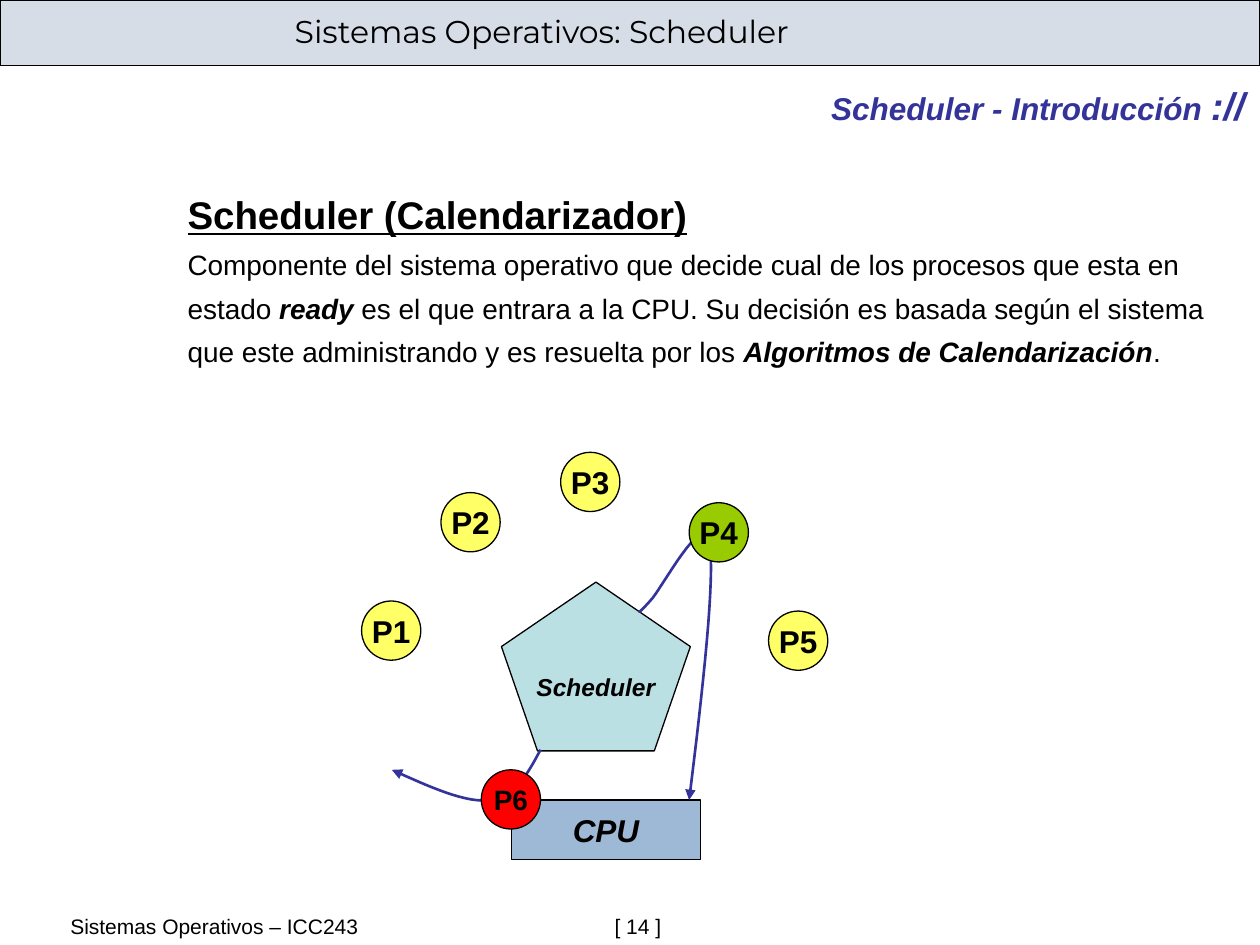
from dataclasses import dataclass

from lxml.etree import SubElement
from pptx import Presentation
from pptx.dml.color import RGBColor
from pptx.enum.shapes import MSO_SHAPE
from pptx.enum.text import MSO_ANCHOR, MSO_AUTO_SIZE, PP_ALIGN
from pptx.oxml.ns import qn
from pptx.util import Emu, Inches, Pt


@dataclass
class Theme:
    font: str = "Arial"
    title: str = "Montserrat"
    ink: str = "000000"
    accent: str = "333399"
    bar: str = "D7DDE7"
    core: str = "BBE0E3"
    cpu: str = "9EB9D6"
    wait: str = "FFFF66"
    run: str = "99CC00"
    stop: str = "FF0000"
    big: int = 22
    mid: int = 18
    body: int = 16
    label: int = 14
    small: int = 12


theme = Theme()
deck = Presentation()
deck.slide_width, deck.slide_height = Inches(10), Inches(7.5)
slide = deck.slides.add_slide(deck.slide_layouts[6])
shapes = slide.shapes

# Grid of 100 columns by 75 rows
COL, ROW = deck.slide_width / 100, deck.slide_height / 75


def write(text, box=None, shape=None, new=False, size=theme.mid, font=theme.font,
          color=theme.ink, bold=False, italic=False, line=False, align=PP_ALIGN.LEFT,
          gap=None, tab=None):
    """Write runs of (text, changes) as one paragraph in a shape or a new text box."""
    if shape is None:
        x, y, w, h = box
        shape = shapes.add_textbox(Emu(int(x * COL)), Emu(int(y * ROW)),
                                   Emu(int(w * COL)), Emu(int(h * ROW)))
        shape.text_frame.word_wrap = True
        shape.text_frame.auto_size = MSO_AUTO_SIZE.SHAPE_TO_FIT_TEXT
    frame = shape.text_frame
    para = frame.add_paragraph() if new else frame.paragraphs[0]
    para.alignment = align
    if gap:
        para.line_spacing = gap
    if tab:
        stops = SubElement(para._p.get_or_add_pPr(), qn("a:tabLst"))
        SubElement(stops, qn("a:tab"), pos=str(int(tab * COL)), algn="l")
    for words, change in [(text, {})] if isinstance(text, str) else text:
        run = para.add_run()
        run.text = words
        run.font.name = font
        run.font.size = Pt(change.get("size", size))
        run.font.bold = change.get("bold", bold)
        run.font.italic = change.get("italic", italic)
        run.font.underline = line
        run.font.color.rgb = RGBColor.from_string(color)
    return shape


def draw(kind, box, fill, text="", **style):
    """Draw an outlined preset shape with a centred label."""
    x, y, w, h = box
    shape = shapes.add_shape(kind, Emu(int(x * COL)), Emu(int(y * ROW)),
                             Emu(int(w * COL)), Emu(int(h * ROW)))
    shape.shadow.inherit = False
    shape.fill.solid()
    shape.fill.fore_color.rgb = RGBColor.from_string(fill)
    shape.line.color.rgb = RGBColor.from_string(theme.ink)
    shape.line.width = Pt(0.75)
    if text:
        shape.text_frame.word_wrap = False
        shape.text_frame.vertical_anchor = MSO_ANCHOR.MIDDLE
        write(text, shape=shape, bold=True, align=PP_ALIGN.CENTER, **style)


# Title bar and footer
draw(MSO_SHAPE.RECTANGLE, (0, 0, 100, 5.2), theme.bar)
write("Sistemas Operativos: Scheduler", (22.4, 0.5, 77.2, 4), font=theme.title)
write("Sistemas Operativos – ICC243\t[ 14 ]", (4.6, 72, 91.7, 3),
      size=theme.small, tab=43.2)

# Section heading
write([("Scheduler - Introducción ", {}), ("://", {"size": theme.big})],
      (14.6, 6, 85.2, 4.7), color=theme.accent, bold=True, italic=True,
      align=PP_ALIGN.RIGHT)

# Definition
strong = {"bold": True, "italic": True}
body = write("Scheduler (Calendarizador)", (13.9, 14.7, 86.1, 18.6),
             size=theme.big, bold=True, line=True)
write([("Componente del sistema operativo que decide cual de los procesos "
        "que esta en estado ", {}),
       ("ready", strong),
       (" es el que entrara a la CPU. Su decisión es basada según el sistema "
        "que este administrando y es resuelta por los ", {}),
       ("Algoritmos de Calendarización", strong),
       (".", {})],
      shape=body, new=True, size=theme.body, gap=1.3)

# Scheduler and CPU
draw(MSO_SHAPE.REGULAR_PENTAGON, (39.8, 46.2, 15, 13.4), theme.core, "Scheduler",
     size=theme.label, italic=True)
draw(MSO_SHAPE.RECTANGLE, (40.6, 63.5, 15, 4.7), theme.cpu, "CPU", italic=True)

# Curved arrows: a start point, then cubic pieces of two handles and an end
curves = [
    [(50.8, 48.5),
     (50.7, 48.6), (50.7, 48.7), (51.6, 47.7),
     (52.5, 46.8), (55.8, 40.4), (56.3, 43),
     (56.8, 45.6), (55.8, 54.6), (54.7, 63.5)],
    [(42.9, 59.5),
     (41.9, 61.4), (40.9, 63.2), (39, 63.5),
     (37, 63.8), (34, 62.4), (31.1, 61.1)],
]
STEPS = 16
for knots in curves:
    dots = []
    for k in range(0, len(knots) - 1, 3):
        for t in (n / STEPS for n in range(1, STEPS + 1)):
            parts = ((1 - t) ** 3, 3 * t * (1 - t) ** 2, 3 * t * t * (1 - t), t ** 3)
            x, y = (sum(part * knot[axis] for part, knot in zip(parts, knots[k:k + 4]))
                    for axis in (0, 1))
            dots.append((int(x * COL), int(y * ROW)))
    path = shapes.build_freeform(int(knots[0][0] * COL), int(knots[0][1] * ROW))
    path.add_line_segments(dots, close=False)
    arrow = path.convert_to_shape()
    arrow.shadow.inherit = False
    arrow.fill.background()
    arrow.line.color.rgb = RGBColor.from_string(theme.accent)
    arrow.line.width = Pt(1.5)
    SubElement(arrow._element.spPr.find(qn("a:ln")), qn("a:tailEnd"), type="triangle")

# Processes, in front of the arrows
for name, x, y, fill, size in [
    ("P1", 28.7, 47.7, theme.wait, theme.mid),
    ("P2", 35, 39.1, theme.wait, theme.mid),
    ("P3", 44.5, 35.9, theme.wait, theme.mid),
    ("P4", 54.7, 39.9, theme.run, theme.mid),
    ("P5", 61, 48.5, theme.wait, theme.mid),
    ("P6", 38.2, 61.1, theme.stop, theme.body),
]:
    draw(MSO_SHAPE.OVAL, (x, y, 4.7, 4.7), fill, name, size=size)

deck.save("out.pptx")
